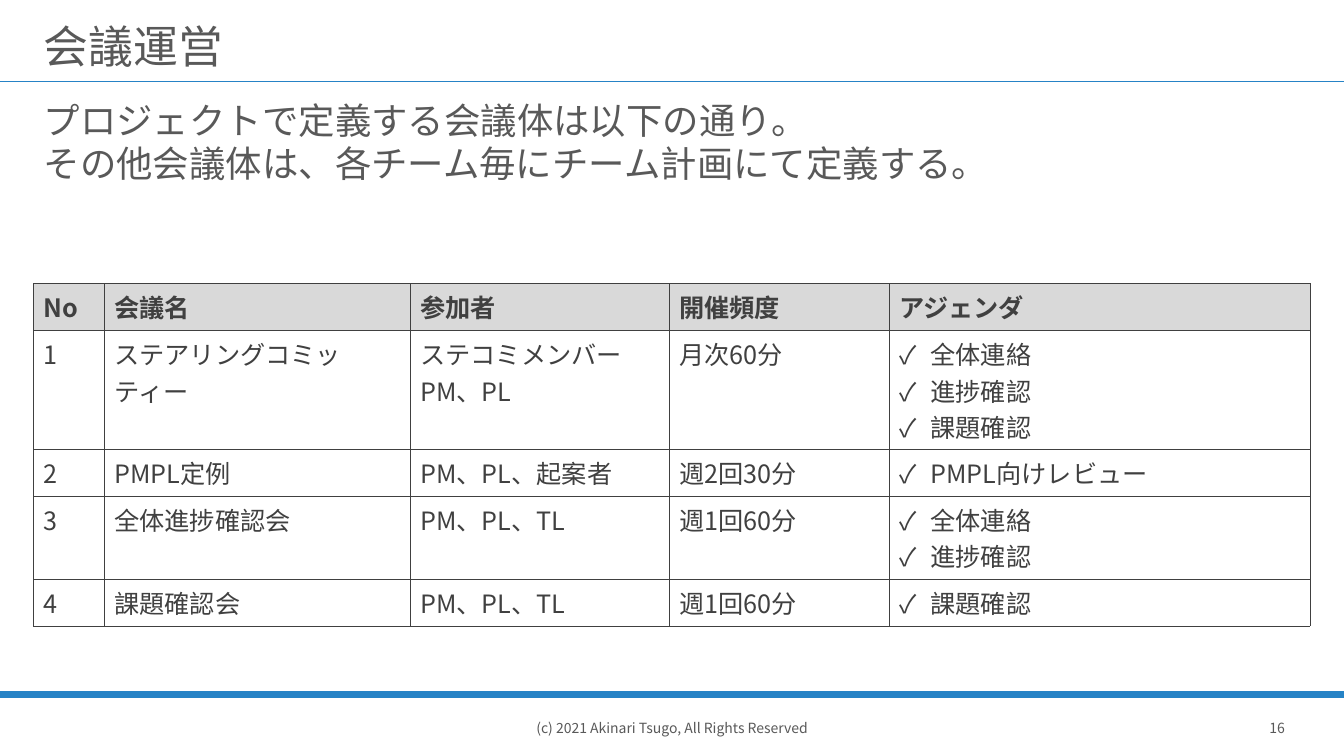
import pptx
import pptx.dml.color
import pptx.enum.shapes
import pptx.enum.text
import pptx.oxml.ns
import pptx.util
from lxml import etree

Pt = pptx.util.Pt
RGB = pptx.dml.color.RGBColor
ALIGN = pptx.enum.text.PP_ALIGN
ANCHOR = pptx.enum.text.MSO_ANCHOR
qn = pptx.oxml.ns.qn

FONT = "Noto Sans CJK JP"
BLUE = RGB(0x26, 0x83, 0xC6)
GREY = RGB(0x59, 0x59, 0x59)
DARK = RGB(0x40, 0x40, 0x40)
HEADER_FILL = RGB(0xD9, 0xD9, 0xD9)
WHITE = RGB(0xFF, 0xFF, 0xFF)

SLIDE_W, SLIDE_H = 960, 540
MARGIN, CONTENT_W = 24, 912
COL_WIDTHS = [50.5, 218.5, 185, 157, 301]
ROW_HEIGHTS = [33.5, 85, 33.5, 59, 33.5]
CHECK_INDENT = 22.5

HEADERS = ["No", "会議名", "参加者", "開催頻度", "アジェンダ"]
MEETINGS = [
    ("ステアリングコミッティー", "ステコミメンバー\vPM、PL", "月次60分",
     ["全体連絡", "進捗確認", "課題確認"]),
    ("PMPL定例", "PM、PL、起案者", "週2回30分", ["PMPL向けレビュー"]),
    ("全体進捗確認会", "PM、PL、TL", "週1回60分", ["全体連絡", "進捗確認"]),
    ("課題確認会", "PM、PL、TL", "週1回60分", ["課題確認"]),
]


def set_bullet(p, char, indent):
    """Give a paragraph a hanging bullet, or none when char is empty."""
    pPr = p._p.get_or_add_pPr()
    pPr.set("marL", str(Pt(indent)))
    pPr.set("indent", str(-Pt(indent)))
    if char:
        etree.SubElement(pPr, qn("a:buFont")).set("typeface", FONT)
        etree.SubElement(pPr, qn("a:buChar")).set("char", char)
    else:
        etree.SubElement(pPr, qn("a:buNone"))


def write(tf, text, size=18, color=DARK, bold=False, align=ALIGN.LEFT,
          spacing=None, before=0, bullet=None, indent=0):
    """Fill a text frame with one paragraph per item of text."""
    lines = [text] if isinstance(text, str) else text
    for i, line in enumerate(lines):
        p = tf.add_paragraph() if i else tf.paragraphs[0]
        p.text = line
        p.alignment = align
        p.line_spacing = spacing
        p.space_before = Pt(before if i else 0)
        set_bullet(p, bullet, indent)
        for r in p.runs:
            r.font.name = FONT
            r.font.size = Pt(size)
            r.font.bold = bold
            r.font.color.rgb = color
            latin = r.font._element.find(qn("a:latin"))
            ea = etree.Element(qn("a:ea"), typeface=FONT)
            latin.addnext(ea)


def place(s, left, top, width, height):
    s.left, s.top, s.width, s.height = map(Pt, (left, top, width, height))


def add_rule(slide, y, weight):
    s = slide.shapes.add_connector(pptx.enum.shapes.MSO_CONNECTOR.STRAIGHT,
                                   Pt(0), Pt(y), Pt(SLIDE_W), Pt(y))
    s.line.color.rgb = BLUE
    s.line.width = Pt(weight)
    etree.SubElement(s._element.spPr, qn("a:effectLst"))


def add_footer(slide, text, left, width):
    s = slide.shapes.add_textbox(Pt(left), Pt(500.5), Pt(width), Pt(39.5))
    tf = s.text_frame
    tf.word_wrap = True
    tf.vertical_anchor = ANCHOR.MIDDLE
    write(tf, text, size=10, color=GREY, align=ALIGN.CENTER)


def set_borders(cell):
    tcPr = cell._tc.get_or_add_tcPr()
    for i, side in enumerate(("lnL", "lnR", "lnT", "lnB")):
        ln = etree.Element(qn("a:" + side), w=str(Pt(0.25)))
        fill = etree.SubElement(ln, qn("a:solidFill"))
        etree.SubElement(fill, qn("a:srgbClr")).set("val", str(DARK))
        tcPr.insert(i, ln)


def add_meeting_table(slide):
    rows = [HEADERS] + [(str(n), *m) for n, m in enumerate(MEETINGS, 1)]
    table = slide.shapes.add_table(
        len(rows), len(HEADERS), Pt(MARGIN), Pt(202.5),
        Pt(CONTENT_W), Pt(sum(ROW_HEIGHTS))).table
    table.horz_banding = False
    table.first_row = False
    for col, width in zip(table.columns, COL_WIDTHS):
        col.width = Pt(width)
    for row, height in zip(table.rows, ROW_HEIGHTS):
        row.height = Pt(height)
    for i, values in enumerate(rows):
        for j, value in enumerate(values):
            cell = table.cell(i, j)
            header = i == 0
            agenda = isinstance(value, list)
            cell.fill.solid()
            cell.fill.fore_color.rgb = HEADER_FILL if header else WHITE
            cell.vertical_anchor = ANCHOR.MIDDLE if header else ANCHOR.TOP
            set_borders(cell)
            write(cell.text_frame, value, bold=header,
                  bullet="✓" if agenda else None,
                  indent=CHECK_INDENT if agenda else 0)


def main():
    prs = pptx.Presentation()
    prs.slide_width, prs.slide_height = Pt(SLIDE_W), Pt(SLIDE_H)
    slide = prs.slides.add_slide(prs.slide_layouts[1])

    # Rules and footer
    add_rule(slide, 58, 1)
    add_rule(slide, 496, 4.5)
    add_footer(slide, "16", 888.5, 47.5)
    add_footer(slide, "(c) 2021 Akinari Tsugo, All Rights Reserved", 332.5, 295)

    # Title
    title = slide.shapes.title
    place(title, MARGIN, 4.5, CONTENT_W, 49.5)
    tf = title.text_frame
    tf.auto_size = pptx.enum.text.MSO_AUTO_SIZE.NONE
    tf.vertical_anchor = ANCHOR.MIDDLE
    tf.margin_top, tf.margin_bottom = Pt(14.4), Pt(3.6)
    write(tf, "会議運営", size=32, color=GREY, spacing=0.9)

    # Lead text
    body = slide.placeholders[1]
    place(body, MARGIN, 70, CONTENT_W, 77)
    tf = body.text_frame
    tf.auto_size = pptx.enum.text.MSO_AUTO_SIZE.NONE
    tf.vertical_anchor = ANCHOR.TOP
    write(tf, ["プロジェクトで定義する会議体は以下の通り。",
               "その他会議体は、各チーム毎にチーム計画にて定義する。"],
          size=26, color=GREY, spacing=0.9, before=3)

    # Meetings
    add_meeting_table(slide)

    prs.save("out.pptx")


if __name__ == "__main__":
    main()
